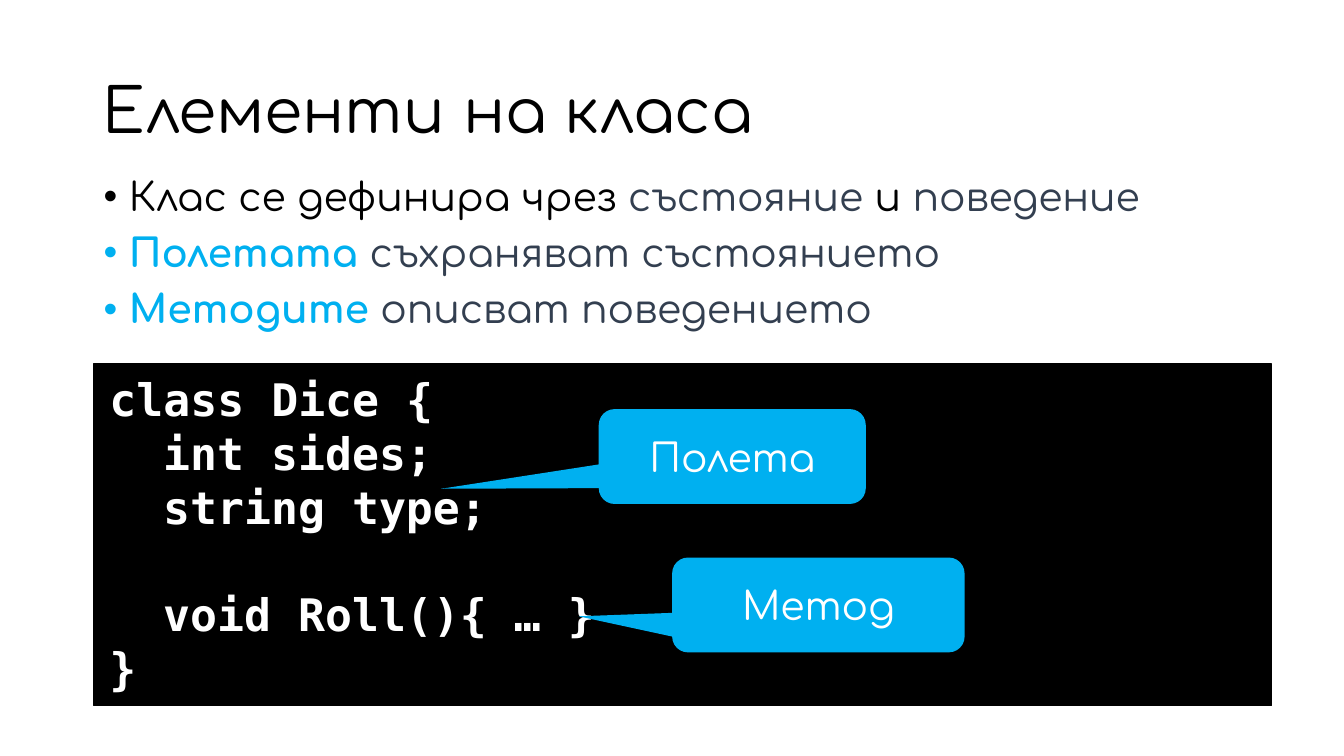
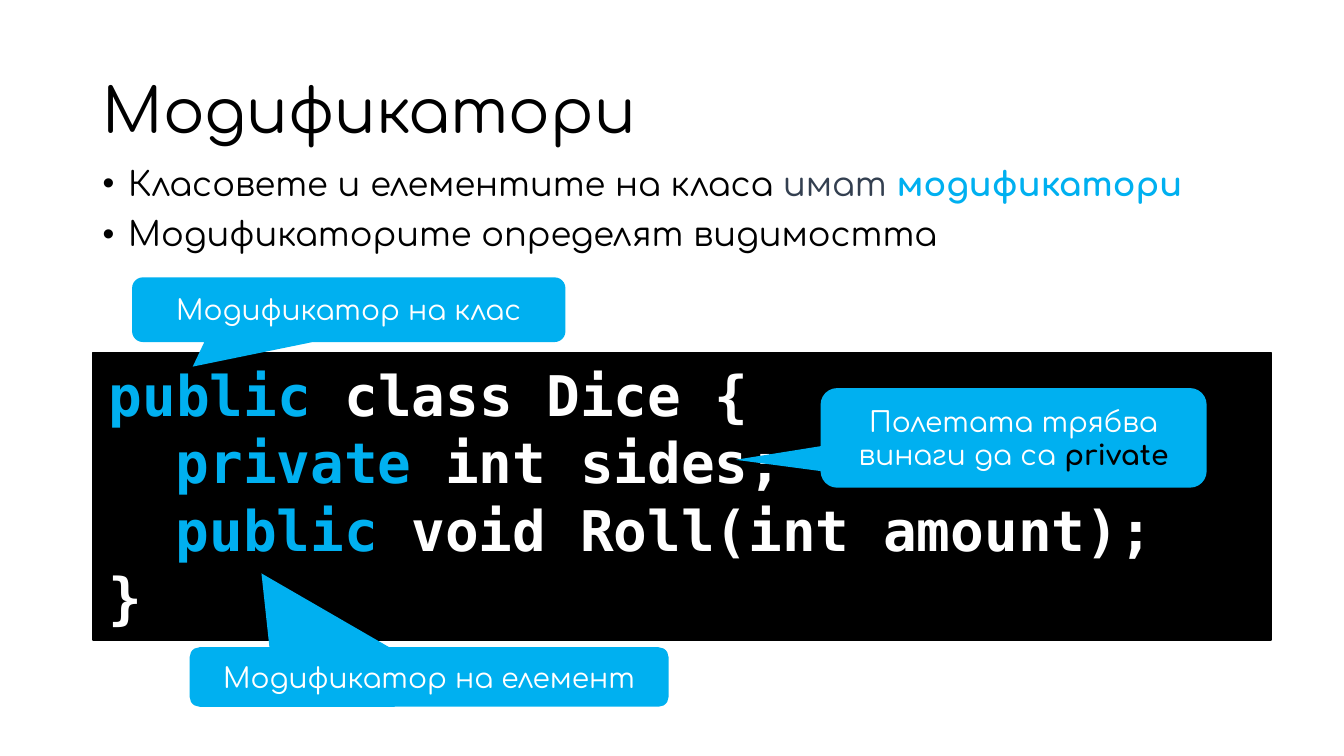
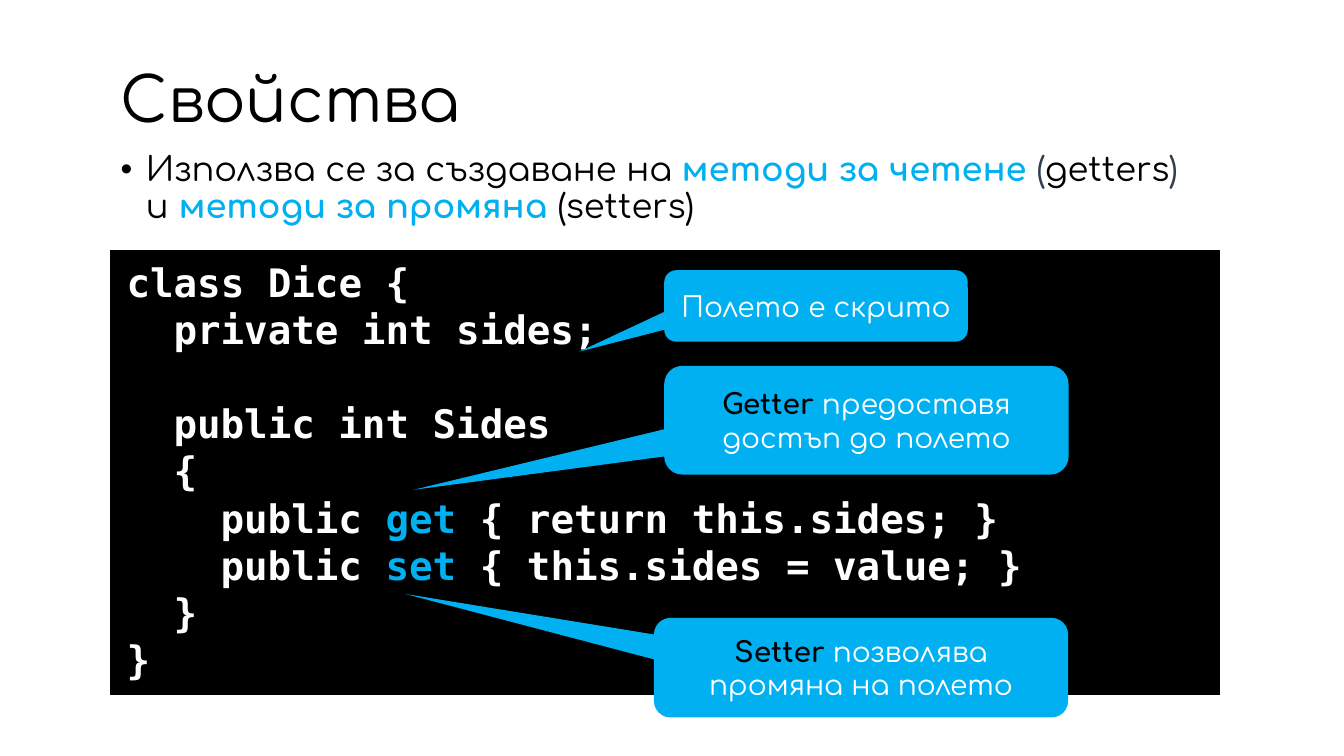
from pptx import Presentation
from pptx.dml.color import RGBColor
from pptx.enum.shapes import MSO_SHAPE
from pptx.enum.text import MSO_ANCHOR, PP_ALIGN
from pptx.oxml.xmlchemy import OxmlElement
from pptx.util import Cm, Pt

BLACK = RGBColor(0x00, 0x00, 0x00)
WHITE = RGBColor(0xFF, 0xFF, 0xFF)
BLUE = RGBColor(0x00, 0xB0, 0xF0)
SLATE = RGBColor(0x33, 0x3F, 0x50)

FONT = "Comfortaa"
MONO = "DejaVu Sans Mono"
LEFT, MID = PP_ALIGN.LEFT, PP_ALIGN.CENTER
TOP, CENTER = MSO_ANCHOR.TOP, MSO_ANCHOR.MIDDLE
RECT = MSO_SHAPE.RECTANGLE
BUBBLE = MSO_SHAPE.ROUNDED_RECTANGULAR_CALLOUT

TITLE_SIZE = 44
NOTE_SIZE = 20
CODE_LEAD = 1.2    # line height of code, in ems
CHAR_WIDTH = 0.6   # width of one code letter, in ems
TAB = 2            # letters per code level


def key(text):
    return text, BLUE, True


def dim(text):
    return text, SLATE, False


def dark(text):
    return text, BLACK, True


def write(par, runs, size, font=FONT, color=BLACK, bold=False,
          align=LEFT, lead=None, before=0):
    """Fill a paragraph; a run is a string or (text, colour, bold)."""
    par.alignment = align
    par.space_before = Pt(before)
    if lead:
        par.line_spacing = lead
    for item in runs:
        text, hue, heavy = (item, color, bold) if isinstance(item, str) else item
        run = par.add_run()
        run.text = text
        run.font.name = font
        run.font.size = Pt(size)
        run.font.bold = heavy
        run.font.color.rgb = hue


def indent(par, left, first=0):
    props = par._p.get_or_add_pPr()
    props.set("marL", str(int(left)))
    props.set("indent", str(int(first)))
    return props


def lines(frame, items):
    """Pair each item with a paragraph of the frame."""
    for i, item in enumerate(items):
        yield (frame.add_paragraph() if i else frame.paragraphs[0]), item


def add_box(slide, place, anchor=TOP):
    frame = slide.shapes.add_textbox(*map(Cm, place)).text_frame
    frame.word_wrap = True
    frame.vertical_anchor = anchor
    return frame


def add_form(slide, kind, place, fill, anchor):
    form = slide.shapes.add_shape(kind, *map(Cm, place))
    form.shadow.inherit = False
    form.fill.solid()
    form.fill.fore_color.rgb = fill
    form.text_frame.word_wrap = True
    form.text_frame.vertical_anchor = anchor
    return form


def add_title(slide, place, text):
    frame = add_box(slide, place, CENTER)
    write(frame.paragraphs[0], [text], TITLE_SIZE, lead=0.9)


def add_list(slide, place, size, items):
    for par, runs in lines(add_box(slide, place), items):
        write(par, runs, size, lead=0.9, before=10)
        props = indent(par, Cm(0.64), -Cm(0.64))
        face = OxmlElement("a:buFont")
        face.set("typeface", "Arial")
        dot = OxmlElement("a:buChar")
        dot.set("char", "•")
        props.extend([face, dot])


def add_code(slide, place, size, rows):
    """Draw a code panel; a row is (level, runs), None an empty line."""
    panel = add_form(slide, RECT, place, BLACK, TOP)
    panel.line.color.rgb = BLACK
    panel.line.width = Pt(1)
    frame = panel.text_frame
    frame.margin_left = frame.margin_right = Cm(0.4)
    frame.margin_top = frame.margin_bottom = Cm(0.2)
    high = size * CODE_LEAD
    full = [(row, i > 0 and rows[i - 1] is None)
            for i, row in enumerate(rows) if row]
    for par, ((level, *runs), gap) in lines(frame, full):
        write(par, runs, size, font=MONO, color=WHITE, bold=True,
              lead=Pt(high), before=high if gap else 0)
        indent(par, Pt(level * TAB * CHAR_WIDTH * size))


def add_note(slide, place, tip, *runs, size=NOTE_SIZE):
    """Draw a callout; tip is the pointer's offset from its centre."""
    note = add_form(slide, BUBBLE, place, BLUE, CENTER)
    note.line.fill.background()
    note.adjustments[0], note.adjustments[1] = tip
    write(note.text_frame.paragraphs[0], runs, size, color=WHITE, align=MID)


def parts(slide):
    add_list(slide, (2.36, 4.34, 29.21, 12.09), 28, [
        ["Клас се дефинира чрез ", dim("състояние "), "и ", dim("поведение")],
        [key("Полетата "), dim("съхраняват състоянието")],
        [key("Методите "), dim("описват поведението")],
    ])
    add_title(slide, (2.34, 1.02, 29.21, 3.68), "Елементи на класа")
    add_code(slide, (2.36, 9.17, 29.69, 8.61), 32, [
        (0, "class Dice {"),
        (1, "int sides;"),
        (1, "string type;"),
        None,
        (1, "void Roll(){ … }"),
        (0, "}"),
    ])
    add_note(slide, (15.09, 10.31, 6.73, 2.39), (-1.09, 0.34), "Полета", size=28)
    add_note(slide, (16.94, 14.05, 7.37, 2.39), (-0.82, 0.12), "Метод", size=28)


def access(slide):
    add_list(slide, (2.34, 4.09, 29.21, 11.84), 24, [
        ["Класовете и елементите на класа ", dim("имат "), key("модификатори")],
        ["Модификаторите определят видимостта"],
    ])
    add_title(slide, (2.34, 1.65, 29.21, 2.44), "Модификатори")
    add_code(slide, (2.34, 8.89, 29.69, 7.24), 40, [
        (0, key("public"), " class Dice {"),
        (1, key("private"), " int sides;"),
        (1, key("public"), " void Roll(int amount);"),
        (0, "}"),
    ])
    add_note(slide, (3.33, 6.99, 10.92, 1.63), (-0.36, 0.88),
             "Модификатор на клас")
    add_note(slide, (4.78, 16.31, 12.07, 1.5), (-0.35, -1.74),
             "Модификатор на елемент")
    add_note(slide, (20.68, 9.78, 9.73, 2.51), (-0.72, 0.22),
             "Полетата трябва винаги да са ", dark("private"))


def props(slide):
    add_list(slide, (2.79, 3.73, 27.94, 2.49), 24, [
        ["Използва се за създаване на ", key("методи за четене "), dim("("),
         "getters", dim(") "), "и ", key("методи за промяна "), "(setters)"],
    ])
    add_title(slide, (2.79, 1.3, 27.94, 2.57), "Свойства")
    add_code(slide, (2.79, 6.32, 27.94, 11.18), 28, [
        (0, "class Dice {"),
        (1, "private int sides;"),
        None,
        (1, "public int Sides"),
        (1, "{"),
        (2, "public ", key("get"), " { return this.sides; }"),
        (2, "public ", key("set"), " { this.sides = value; }"),
        (1, "}"),
        (0, "}"),
    ])
    add_note(slide, (16.74, 6.81, 7.65, 1.8), (-0.78, 0.64), "Полето е скрито")
    add_note(slide, (16.74, 9.22, 10.19, 2.74), (-1.12, 0.64),
             dark("Getter "), "предоставя достъп до полето")
    add_note(slide, (16.48, 15.57, 10.44, 2.51), (-1.1, -0.74),
             dark("Setter "), "позволява промяна на полето")


def main():
    deck = Presentation()
    deck.slide_width, deck.slide_height = Cm(33.87), Cm(19.05)
    blank = deck.slide_layouts[6]
    for build in (parts, access, props):
        build(deck.slides.add_slide(blank))
    deck.save("out.pptx")


if __name__ == "__main__":
    main()
